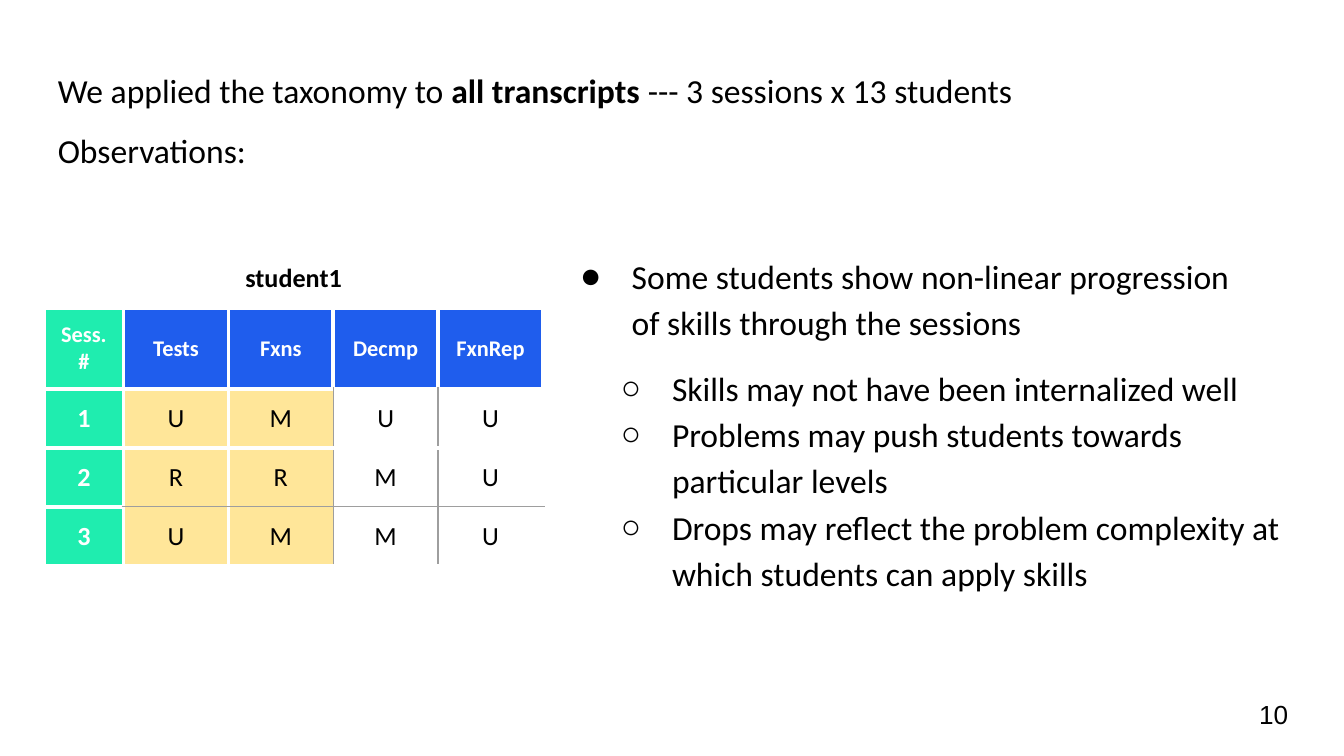
"""Build the slide on skill observations across student sessions."""
from lxml import etree
from pptx import Presentation
from pptx.dml.color import RGBColor
from pptx.enum.text import MSO_ANCHOR, MSO_AUTO_SIZE, PP_ALIGN
from pptx.oxml.ns import qn
from pptx.util import Inches, Pt

MIDDLE, TOP = MSO_ANCHOR.MIDDLE, MSO_ANCHOR.TOP
CENTER, LEFT = PP_ALIGN.CENTER, PP_ALIGN.LEFT
NO_FIT = MSO_AUTO_SIZE.NONE

SLIDE_W = 10
SLIDE_H = SLIDE_W * 9 / 16
COLORS = {"text": "000000", "white": "FFFFFF", "session": "1FEDAF",
          "skill": "1F5DED", "drop": "FFE699", "grid": "9E9E9E"}
BULLET_FONTS = {"●": "Calibri", "○": "Arial"}
INTRO = [
    [("We applied the taxonomy to ", False), ("all transcripts", True),
     (" --- 3 sessions x 13 students", False)],
    [("Observations:", False)],
]
FINDING = [[("Some students show non-linear progression of skills through the sessions", False)]]
REASONS = [
    [("Skills may not have been internalized well", False)],
    [("Problems may push students towards particular levels", False)],
    [("Drops may reflect the problem complexity at which students can apply skills", False)],
]
BODIES = [
    (1, (0.33, 0.27, 7.94, 0.83), INTRO, 1.5, None),
    (2, (4.1, 1.76, 5.4, 0.83), FINDING, 1.15, "●"),
    (4, (4.4, 2.59, 5.32, 2.07), REASONS, 1.15, "○"),
]
ROWS = [
    ["student1", "", "", "", ""],
    ["Sess. #", "Tests", "Fxns", "Decmp", "FxnRep"],
    ["1", "U", "M", "U", "U"],
    ["2", "R", "R", "M", "U"],
    ["3", "U", "M", "M", "U"],
]
TABLE_AT = (0.33, 1.85, 3.69, 2.33)
COL_WIDTHS = [0.59] + [0.78] * 4
ROW_HEIGHTS = [0.44, 0.59] + [0.43] * 3
DROP_COLS = (1, 2)
GRID_COLS, GRID_ROW = (2, 3), 3


def inches(box):
    return [Inches(v) for v in box]


def set_frame(tf, anchor):
    tf.word_wrap = True
    tf.auto_size = NO_FIT
    tf.vertical_anchor = anchor
    tf.margin_left = tf.margin_right = tf.margin_top = tf.margin_bottom = Inches(0.1)


def style(run, size, color="text", bold=False, font="Calibri"):
    run.font.name, run.font.size, run.font.bold = font, Pt(size), bold
    run.font.color.rgb = RGBColor.from_string(COLORS[color])


def set_bullet(p, char):
    pPr = p._p.get_or_add_pPr()
    pPr.set("marL", str(Inches(0.5 if char else 0)))
    pPr.set("indent", str(Inches(-0.38 if char else 0)))
    if char:
        clr = etree.SubElement(pPr, qn("a:buClr"))
        etree.SubElement(clr, qn("a:srgbClr"), val=COLORS["text"])
        etree.SubElement(pPr, qn("a:buFont"), typeface=BULLET_FONTS[char])
        etree.SubElement(pPr, qn("a:buChar"), char=char)
    else:
        etree.SubElement(pPr, qn("a:buNone"))


def fill_body(sp, box, paragraphs, spacing, bullet):
    sp.left, sp.top, sp.width, sp.height = inches(box)
    tf = sp.text_frame
    set_frame(tf, TOP)
    for i, runs in enumerate(paragraphs):
        p = tf.add_paragraph() if i else tf.paragraphs[0]
        p.alignment, p.line_spacing = LEFT, spacing
        p.space_before = p.space_after = Pt(0)
        set_bullet(p, bullet)
        for text, bold in runs:
            r = p.add_run()
            r.text = text
            style(r, 18, bold=bold)


def set_borders(cell, row, col):
    in_body = row > 1
    grey = {
        "lnL": in_body and col - 1 in GRID_COLS,
        "lnR": in_body and col in GRID_COLS,
        "lnT": col > 0 and row - 1 == GRID_ROW,
        "lnB": col > 0 and row == GRID_ROW,
    }
    tcPr = cell._tc.get_or_add_tcPr()
    for i, (side, is_grey) in enumerate(grey.items()):
        ln = etree.Element(qn("a:" + side), w=str(Pt(0.75 if is_grey else 2.25)))
        solid = etree.SubElement(ln, qn("a:solidFill"))
        etree.SubElement(solid, qn("a:srgbClr"), val=COLORS["grid" if is_grey else "white"])
        tcPr.insert(i, ln)


def cell_fill(row, col):
    if row == 0:
        return None
    if col == 0:
        return "session"
    if row == 1:
        return "skill"
    return "drop" if col in DROP_COLS else None


def fill_cell(cell, row, col, text):
    cell.vertical_anchor = MIDDLE
    cell.margin_left = cell.margin_right = cell.margin_top = cell.margin_bottom = Inches(0.1)
    fill = cell_fill(row, col)
    if fill:
        cell.fill.solid()
        cell.fill.fore_color.rgb = RGBColor.from_string(COLORS[fill])
    else:
        cell.fill.background()
    set_borders(cell, row, col)
    if text:
        p = cell.text_frame.paragraphs[0]
        p.text, p.alignment = text, CENTER
        color = "white" if fill in ("session", "skill") else "text"
        style(p.runs[0], 12 if row == 1 else 14, color, bold=row < 2 or col == 0)


def add_skill_table(s):
    table = s.shapes.add_table(len(ROWS), len(COL_WIDTHS), *inches(TABLE_AT)).table
    for column, width in zip(table.columns, COL_WIDTHS):
        column.width = Inches(width)
    for row, height in zip(table.rows, ROW_HEIGHTS):
        row.height = Inches(height)
    table.cell(0, 0).merge(table.cell(0, len(COL_WIDTHS) - 1))
    for r, texts in enumerate(ROWS):
        for c, text in enumerate(texts):
            fill_cell(table.cell(r, c), r, c, text)


def add_page_number(s):
    tf = s.shapes.add_textbox(*inches((9.27, 5.1, 0.6, 0.43))).text_frame
    set_frame(tf, MIDDLE)
    tf.text = "10"
    style(tf.paragraphs[0].runs[0], 14, font="Arial")


def main():
    prs = Presentation()
    prs.slide_width, prs.slide_height = inches((SLIDE_W, SLIDE_H))
    s = prs.slides.add_slide(prs.slide_layouts[4])
    holders = {sp.placeholder_format.idx: sp for sp in s.placeholders}
    for idx, *content in BODIES:
        fill_body(holders.pop(idx), *content)
    for sp in holders.values():
        sp.element.getparent().remove(sp.element)
    add_skill_table(s)
    add_page_number(s)
    prs.save("out.pptx")


if __name__ == "__main__":
    main()
